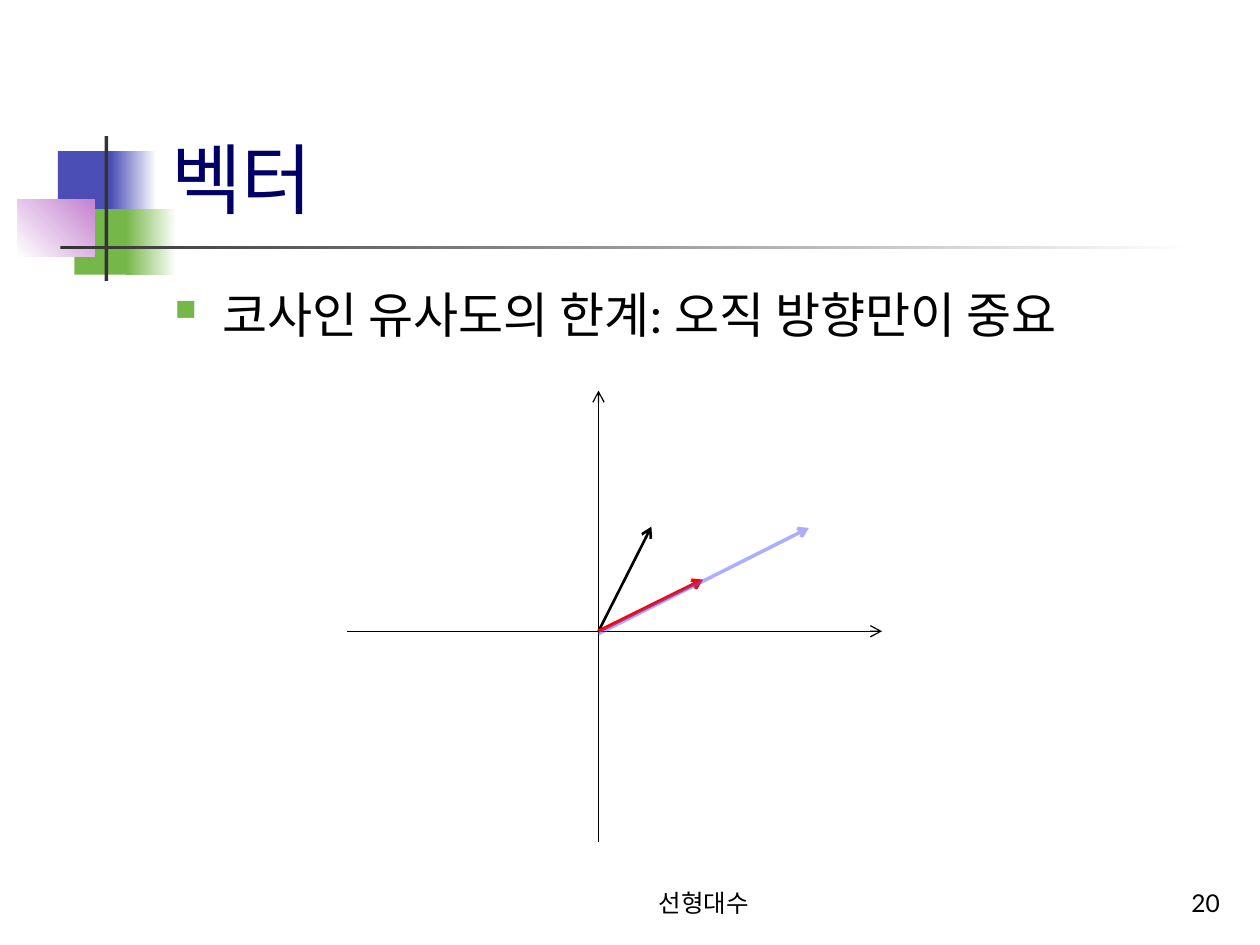
from lxml.etree import SubElement
from pptx import Presentation
from pptx.dml.color import RGBColor
from pptx.enum.shapes import MSO_CONNECTOR, MSO_SHAPE
from pptx.enum.text import MSO_ANCHOR as Anchor, PP_ALIGN as Align
from pptx.oxml.ns import qn
from pptx.util import Inches, Pt

COLORS = {
    "blue": "4B4EB5", "green": "76B749", "purple": "C481CF",
    "bar": "333333", "white": "FFFFFF", "title": "000066",
    "black": "000000", "red": "FF0000", "violet": "5C5CFF",
}
FONT = "Lato"
ORIGIN = (4.75, 5.01)


def rgb(name):
    return RGBColor.from_string(COLORS[name])


def set_all(target, values):
    for key, value in values.items():
        setattr(target, key, value)


def add_block(slide, box, start, end=None, angle=0):
    """Add a rectangle, plain or fading from start to end."""
    block = slide.shapes.add_shape(MSO_SHAPE.RECTANGLE, *map(Inches, box))
    block.shadow.inherit = False
    block.line.fill.background()
    if end is None:
        block.fill.solid()
        block.fill.fore_color.rgb = rgb(start)
        return
    block.fill.gradient()
    block.fill.gradient_angle = angle
    for stop, name in zip(block.fill.gradient_stops, (start, end)):
        stop.color.rgb = rgb(name)


def add_text(slide, box, text, size, color="black", anchor=Anchor.BOTTOM,
             align=Align.LEFT, bullet=False):
    frame = slide.shapes.add_textbox(*map(Inches, box)).text_frame
    set_all(frame, {"word_wrap": True, "vertical_anchor": anchor})
    paragraph = frame.paragraphs[0]
    set_all(paragraph, {"text": text, "alignment": align})
    if bullet:
        add_bullet(paragraph)
    set_all(paragraph.font, {"name": FONT, "size": Pt(size)})
    paragraph.font.color.rgb = rgb(color)


def add_bullet(paragraph):
    props = paragraph._p.get_or_add_pPr()
    indent = Inches(0.38)
    props.set("marL", str(indent))
    props.set("indent", str(-indent))
    bullet_color = SubElement(props, qn("a:buClr"))
    SubElement(bullet_color, qn("a:srgbClr"), val=COLORS["green"])
    SubElement(props, qn("a:buSzPct"), val="60000")
    SubElement(props, qn("a:buChar"), char="■")


def add_arrow(slide, start, end, color, width, opacity=None):
    arrow = slide.shapes.add_connector(
        MSO_CONNECTOR.STRAIGHT, *map(Inches, (*start, *end)))
    arrow.line.width = Pt(width)
    arrow.line.color.rgb = rgb(color)
    outline = arrow.line._get_or_add_ln()
    if opacity is not None:
        shade = outline.find(".//" + qn("a:srgbClr"))
        SubElement(shade, qn("a:alpha"), val=str(opacity * 1000))
    SubElement(outline, qn("a:tailEnd"), type="arrow")
    SubElement(arrow._element.spPr, qn("a:effectLst"))


def add_ornament(slide):
    add_block(slide, (0.46, 1.2, 0.48, 0.52), "blue")
    add_block(slide, (0.88, 1.2, 0.36, 0.52), "blue", "white")
    add_block(slide, (0.59, 1.66, 0.46, 0.52), "green")
    add_block(slide, (1, 1.66, 0.4, 0.52), "green", "white")
    add_block(slide, (0.14, 1.58, 0.61, 0.46), "white", "purple", angle=45)
    add_block(slide, (0.83, 1.08, 0.03, 1.15), "bar")
    add_block(slide, (0.48, 1.95, 9, 0.03), "bar", "white")


def add_vectors(slide):
    x, y = ORIGIN
    add_arrow(slide, (2.75, y), (7, y), "black", 0.75)
    add_arrow(slide, (x, 6.68), (x, 3.1), "black", 0.75)
    add_arrow(slide, ORIGIN, (5.17, 4.18), "black", 1.5)
    add_arrow(slide, ORIGIN, (5.58, 4.6), "red", 2)
    add_arrow(slide, (x, y + 0.02), (6.42, 4.19), "violet", 2, opacity=50)


def main():
    deck = Presentation()
    set_all(deck, {"slide_width": Inches(10), "slide_height": Inches(7.5)})
    slide = deck.slides.add_slide(deck.slide_layouts[6])
    add_ornament(slide)
    add_text(slide, (1.26, 0.23, 8.52, 1.6), "벡터", 44, "title")
    add_text(slide, (1.29, 2.21, 8.5, 4.5),
             "코사인 유사도의 한계: 오직 방향만이 중요", 28,
             anchor=Anchor.TOP, bullet=True)
    add_text(slide, (4, 6.83, 3.17, 0.5), "선형대수", 14, align=Align.CENTER)
    add_text(slide, (7.7, 6.83, 2.08, 0.5), "20", 14, align=Align.RIGHT)
    add_vectors(slide)
    deck.save("out.pptx")


if __name__ == "__main__":
    main()
